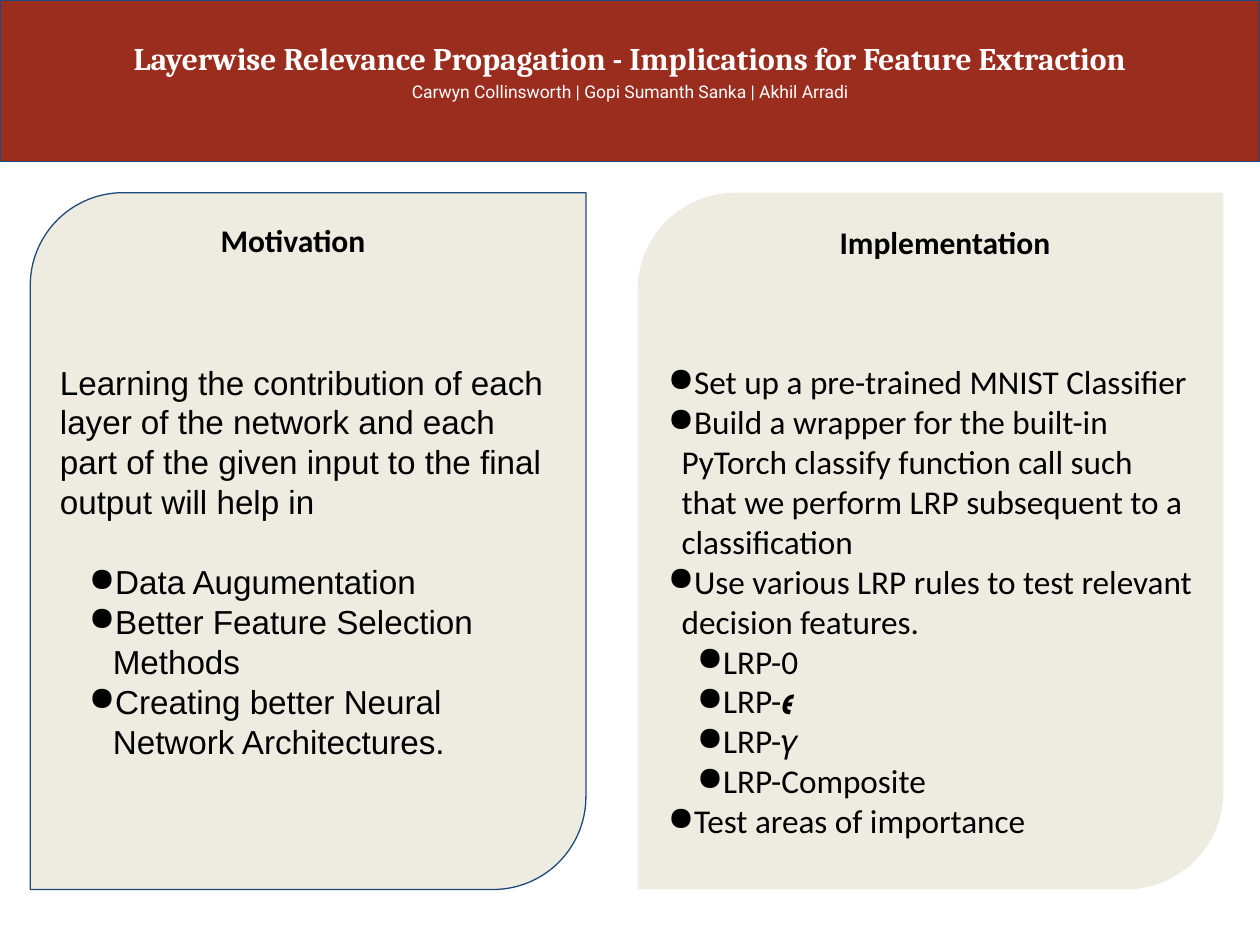
"""Build the poster slide on layerwise relevance propagation."""
import dataclasses

import lxml.etree
import pptx
import pptx.dml.color
import pptx.enum.shapes
import pptx.enum.text
import pptx.oxml.ns
import pptx.util

COLUMNS, ROWS = 100, 75
ALIGN = pptx.enum.text.PP_ALIGN
ANCHOR = pptx.enum.text.MSO_ANCHOR
SHAPES = pptx.enum.shapes.MSO_SHAPE


@dataclasses.dataclass(frozen=True)
class Theme:
    """Hold the colours, fonts and sizes of the slide."""
    banner: str = "9B2D1F"
    panel: str = "EEECE1"
    outline: str = "1F497D"
    light: str = "FFFFFF"
    dark: str = "000000"
    title_font: str = "Cambria"
    author_font: str = "Roboto"
    heading_font: str = "Calibri"
    body_font: str = "Arial"
    heading_size: float = 18
    author_size: float = 10
    body_size: float = 19
    body_pitch: float = 22.8


THEME = Theme()
MOTIVATION = [
    ("Learning the contribution of each layer of the network and each part "
     "of the given input to the final output will help in", {}),
    ("Data Augumentation", {"indent": 0.42, "before": THEME.body_pitch}),
    ("Better Feature Selection Methods", {"indent": 0.42}),
    ("Creating better Neural Network Architectures.", {"indent": 0.42}),
]
STEP = {"indent": 0.11}
RULE = {"indent": 0.42, "level": 3}
IMPLEMENTATION = [
    ("Set up a pre-trained MNIST Classifier", STEP),
    ("Build a wrapper for the built-in PyTorch classify function call such "
     "that we perform LRP subsequent to a classification", STEP),
    ("Use various LRP rules to test relevant decision features.", STEP),
    ("LRP-0", RULE),
    ("LRP-𝝐", RULE),
    ("LRP-𝛾", RULE),
    ("LRP-Composite", RULE),
    ("Test areas of importance", STEP),
]


def grid(presentation, column, row, columns, rows):
    """Return left, top, width and height for a place on the grid."""
    across = presentation.slide_width / COLUMNS
    down = presentation.slide_height / ROWS
    return (round(column * across), round(row * down),
            round(columns * across), round(rows * down))


def colour(value):
    """Return a colour object for a hexadecimal value."""
    return pptx.dml.color.RGBColor.from_string(value)


def add_panel(slide, kind, place, fill, outline=None):
    """Add a filled shape with an optional thin outline."""
    shape = slide.shapes.add_shape(kind, *place)
    shape.shadow.inherit = False
    shape.fill.solid()
    shape.fill.fore_color.rgb = colour(fill)
    if outline:
        shape.line.color.rgb = colour(outline)
        shape.line.width = pptx.util.Pt(0.75)
    else:
        shape.line.fill.background()
    if kind == SHAPES.ROUND_2_DIAG_RECTANGLE:
        shape.adjustments[0], shape.adjustments[1] = 0.167, 0
    return shape


def prepare_frame(shape, anchor=ANCHOR.TOP, top=0.02, grow=False):
    """Set the margins, wrapping and anchor of a text frame."""
    frame = shape.text_frame
    frame.word_wrap = True
    frame.vertical_anchor = anchor
    sizing = pptx.enum.text.MSO_AUTO_SIZE
    frame.auto_size = sizing.SHAPE_TO_FIT_TEXT if grow else sizing.NONE
    frame.margin_left = frame.margin_right = pptx.util.Inches(0.02)
    frame.margin_top = pptx.util.Inches(top)
    frame.margin_bottom = pptx.util.Inches(0.02)
    return frame


def add_bullet(paragraph, indent):
    """Give a paragraph a round bullet with a hanging indent."""
    properties = paragraph._p.get_or_add_pPr()
    properties.set("marL", str(pptx.util.Inches(indent)))
    properties.set("indent", str(pptx.util.Inches(-0.19)))
    name = pptx.oxml.ns.qn
    bullet_colour = lxml.etree.SubElement(properties, name("a:buClr"))
    lxml.etree.SubElement(bullet_colour, name("a:srgbClr"), val=THEME.dark)
    lxml.etree.SubElement(properties, name("a:buChar"), char="●")


def write(paragraph, text, font, size, ink=THEME.dark, bold=False,
          align=ALIGN.LEFT, pitch=None, before=0, indent=None, level=0):
    """Write one formatted paragraph."""
    paragraph.alignment = align
    paragraph.level = level
    paragraph.space_before = pptx.util.Pt(before)
    if pitch:
        paragraph.line_spacing = pptx.util.Pt(pitch)
    if indent is not None:
        add_bullet(paragraph, indent)
    run = paragraph.add_run()
    run.text = text
    run.font.name = font
    run.font.size = pptx.util.Pt(size)
    run.font.bold = bold
    run.font.color.rgb = colour(ink)


def write_body(frame, lines, font):
    """Write the body paragraphs of a panel."""
    for number, (text, style) in enumerate(lines):
        paragraph = frame.add_paragraph() if number else frame.paragraphs[0]
        write(paragraph, text, font, THEME.body_size,
              pitch=THEME.body_pitch, **style)


def add_line(slide, place, text, font, size, **style):
    """Add a centred single line in its own text box."""
    frame = prepare_frame(slide.shapes.add_textbox(*place), grow=True)
    write(frame.paragraphs[0], text, font, size, align=ALIGN.CENTER, **style)


def add_header(presentation, slide):
    """Add the banner, the title and the authors."""
    banner = add_panel(slide, SHAPES.RECTANGLE,
                       grid(presentation, 0, 0, COLUMNS, 12.8),
                       THEME.banner, THEME.outline)
    title = slide.shapes.title
    title.left, title.top, title.width, title.height = grid(
        presentation, 0, 2.9, COLUMNS, 3.5)
    banner._element.addnext(title._element)
    write(prepare_frame(title, grow=True).paragraphs[0],
          "Layerwise Relevance Propagation - Implications for Feature Extraction",
          THEME.title_font, THEME.heading_size, ink=THEME.light, bold=True,
          align=ALIGN.CENTER)
    add_line(slide, grid(presentation, 0, 6.2, COLUMNS, 2.1),
             "Carwyn Collinsworth | Gopi Sumanth Sanka | Akhil Arradi",
             THEME.author_font, THEME.author_size, ink=THEME.light)


def add_motivation(presentation, slide):
    """Add the left panel with its heading and text."""
    panel = add_panel(slide, SHAPES.ROUND_2_DIAG_RECTANGLE,
                      grid(presentation, 2.4, 15.3, 44.1, 55.3),
                      THEME.panel, THEME.outline)
    write_body(prepare_frame(panel, ANCHOR.MIDDLE, top=0.34),
               MOTIVATION, THEME.body_font)
    add_line(slide, grid(presentation, 0, 17.3, 46.5, 3.5), "Motivation",
             THEME.heading_font, THEME.heading_size, bold=True)


def add_implementation(presentation, slide):
    """Add the right panel with its heading and steps."""
    add_panel(slide, SHAPES.ROUND_2_DIAG_RECTANGLE,
              grid(presentation, 50.6, 15.3, 46.5, 55.3), THEME.panel)
    add_line(slide, grid(presentation, 50, 17.5, 50, 3.5), "Implementation",
             THEME.heading_font, THEME.heading_size, bold=True)
    steps = slide.shapes.add_textbox(
        *grid(presentation, 52.8, 28.5, 42.1, 40.9))
    write_body(prepare_frame(steps), IMPLEMENTATION, THEME.heading_font)


def main():
    """Build and save the slide."""
    presentation = pptx.Presentation()
    presentation.slide_width = pptx.util.Inches(10)
    presentation.slide_height = pptx.util.Inches(7.5)
    slide = presentation.slides.add_slide(presentation.slide_layouts[5])
    add_header(presentation, slide)
    add_motivation(presentation, slide)
    add_implementation(presentation, slide)
    presentation.save("out.pptx")


if __name__ == "__main__":
    main()
